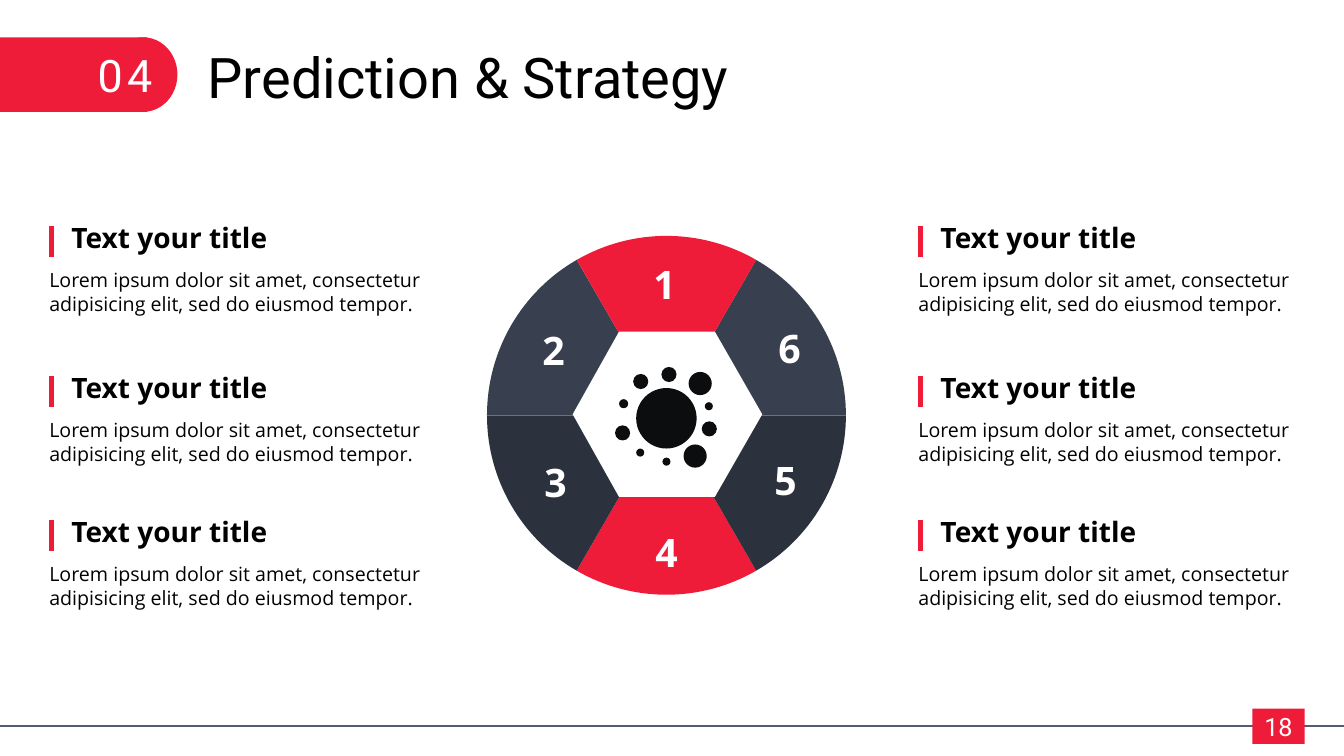
from math import cos, radians, sin, tan

from lxml import etree
from pptx import Presentation
from pptx.dml.color import RGBColor
from pptx.enum.shapes import MSO_CONNECTOR, MSO_SHAPE
from pptx.enum.text import MSO_ANCHOR, MSO_AUTO_SIZE, PP_ALIGN
from pptx.oxml.ns import qn
from pptx.util import Emu, Pt

STRAIGHT = MSO_CONNECTOR.STRAIGHT
RECTANGLE, OVAL = MSO_SHAPE.RECTANGLE, MSO_SHAPE.OVAL
TOP, MIDDLE = MSO_ANCHOR.TOP, MSO_ANCHOR.MIDDLE
LEFT, CENTER = PP_ALIGN.LEFT, PP_ALIGN.CENTER
GROW = MSO_AUTO_SIZE.SHAPE_TO_FIT_TEXT

PX = 9144
RED, NAVY, SLATE, GREY = "EE1C39", "2B313D", "383F4E", "515C73"
BLACK, INK, WHITE = "000000", "0B0D0F", "FFFFFF"
HEADING_FONT, BODY_FONT = "Roboto", "Open Sans"

HEADING = "Text your title"
BODY = "Lorem ipsum dolor sit amet, consectetur adipisicing elit, sed do eiusmod tempor."
ROW_TOPS = (224, 373, 516)
SECTORS = ((60, RED), (120, NAVY), (0, NAVY), (180, SLATE), (300, SLATE), (240, RED))
NUMBERS = (("1", 129, 19), ("4", 131, 285), ("3", 21, 216),
           ("2", 19, 85), ("5", 249, 214), ("6", 253, 83))
DOTS = ((148, 151, 60), (200, 135, 23), (195, 207, 23), (127, 188, 15),
        (145, 137, 15), (213, 184, 15), (173, 130, 15), (148, 211, 8),
        (216, 165, 8), (174, 220, 8), (131, 162, 9))


def px(length):
    return Emu(round(length * PX))


def color(value):
    return RGBColor.from_string(value)


def paint(shape, fill):
    shape.shadow.inherit = False
    shape.fill.solid()
    shape.fill.fore_color.rgb = color(fill)
    shape.line.fill.background()


def add_block(page, kind, left, top, width, height, fill):
    shape = page.shapes.add_shape(kind, px(left), px(top), px(width), px(height))
    paint(shape, fill)
    return shape


def add_outline(page, points, fill):
    detail = 100
    corners = [(round(x * detail), round(y * detail)) for x, y in points]
    builder = page.shapes.build_freeform(*corners[0], scale=PX / detail)
    builder.add_line_segments(corners[1:], close=True)
    shape = builder.convert_to_shape()
    paint(shape, fill)
    return shape


def add_sector(page, center_x, center_y, radius, start, fill):
    def spot(angle, lean=0):
        turn = radians(angle)
        return (center_x + radius * (cos(turn) - lean * sin(turn)),
                center_y + radius * (sin(turn) + lean * cos(turn)))

    pull = 4 / 3 * tan(radians(30) / 4)
    points = [(center_x, center_y), spot(start)]
    for angle in (start, start + 30):
        points += [spot(angle, pull), spot(angle + 30, -pull), spot(angle + 30)]
    sector = add_outline(page, points, fill)
    segments = list(sector.element.iter(qn("a:lnTo")))
    for first in (1, 4):
        curve = etree.Element(qn("a:cubicBezTo"))
        segments[first].addprevious(curve)
        for segment in segments[first:first + 3]:
            curve.append(segment[0])
            segment.getparent().remove(segment)


def add_rule(page, start, end, stroke, weight):
    rule = page.shapes.add_connector(STRAIGHT, *map(px, start + end))
    rule.line.color.rgb = color(stroke)
    rule.line.width = Pt(weight)
    etree.SubElement(rule.element.spPr, qn("a:effectLst"))


def write(shape, text, size, font, ink, bold=False, align=LEFT, anchor=TOP):
    frame = shape.text_frame
    frame.word_wrap = True
    frame.vertical_anchor = anchor
    para = frame.paragraphs[0]
    para.alignment = align
    span = para.add_run()
    span.text = text
    span.font.size = Pt(size)
    span.font.name = font
    span.font.bold = bold
    span.font.color.rgb = color(ink)
    return span


def add_text(page, left, top, width, height, *content, **style):
    box = page.shapes.add_textbox(px(left), px(top), px(width), px(height))
    box.text_frame.auto_size = GROW
    return write(box, *content, **style)


def add_header(page, left, top):
    add_block(page, RECTANGLE, left, top, 148, 74, RED)
    add_block(page, OVAL, left + 110, top, 68, 74, RED)
    number = add_text(page, left + 89, top + 5, 125, 64,
                      "04", 32, HEADING_FONT, WHITE)
    number.font._element.set("spc", "300")
    title = page.shapes.title
    title.left, title.top = px(left + 198), px(top)
    title.width, title.height = px(908), px(77)
    title.text_frame.auto_size = GROW
    write(title, "Prediction & Strategy", 40, HEADING_FONT, BLACK)


def add_footer(page, top):
    add_rule(page, (-2, top + 17), (1333, top + 17), GREY, 1.5)
    badge = add_block(page, RECTANGLE, 1242, top, 52, 35, RED)
    write(badge, "18", 18, HEADING_FONT, WHITE, align=CENTER, anchor=MIDDLE)


def add_wheel(page, left, top, diameter):
    radius = diameter / 2
    for start, fill in SECTORS:
        add_sector(page, left + radius, top + radius, radius, start, fill)
    hexagon = ((0, 82), (46, 0), (141, 0), (188, 82), (141, 164), (46, 164))
    add_outline(page, [(left + 85 + x, top + 95 + y) for x, y in hexagon], WHITE)
    for x, y, size in DOTS:
        add_block(page, OVAL, left + x, top + y, size, size, INK)
    for label, x, y in NUMBERS:
        add_text(page, left + x, top + y, 94, 57, label, 28, BODY_FONT, WHITE,
                 bold=True, align=CENTER)


def add_item(page, left, top):
    add_text(page, left + 22, top - 10, 410, 44, HEADING, 20, BODY_FONT, BLACK,
             bold=True)
    add_rule(page, (left + 12, top), (left + 12, top + 31), RED, 3)
    add_text(page, left, top + 37, 411, 57, BODY, 14, BODY_FONT, BLACK)


def main():
    deck = Presentation()
    deck.slide_width, deck.slide_height = px(1333), px(750)
    page = deck.slides.add_slide(deck.slide_layouts[5])
    add_footer(page, 703)
    add_header(page, -2, 37)
    add_wheel(page, 483, 234, 356)
    for column_left in (901, 39):
        for row_top in ROW_TOPS:
            add_item(page, column_left, row_top)
    deck.save("out.pptx")


if __name__ == "__main__":
    main()
